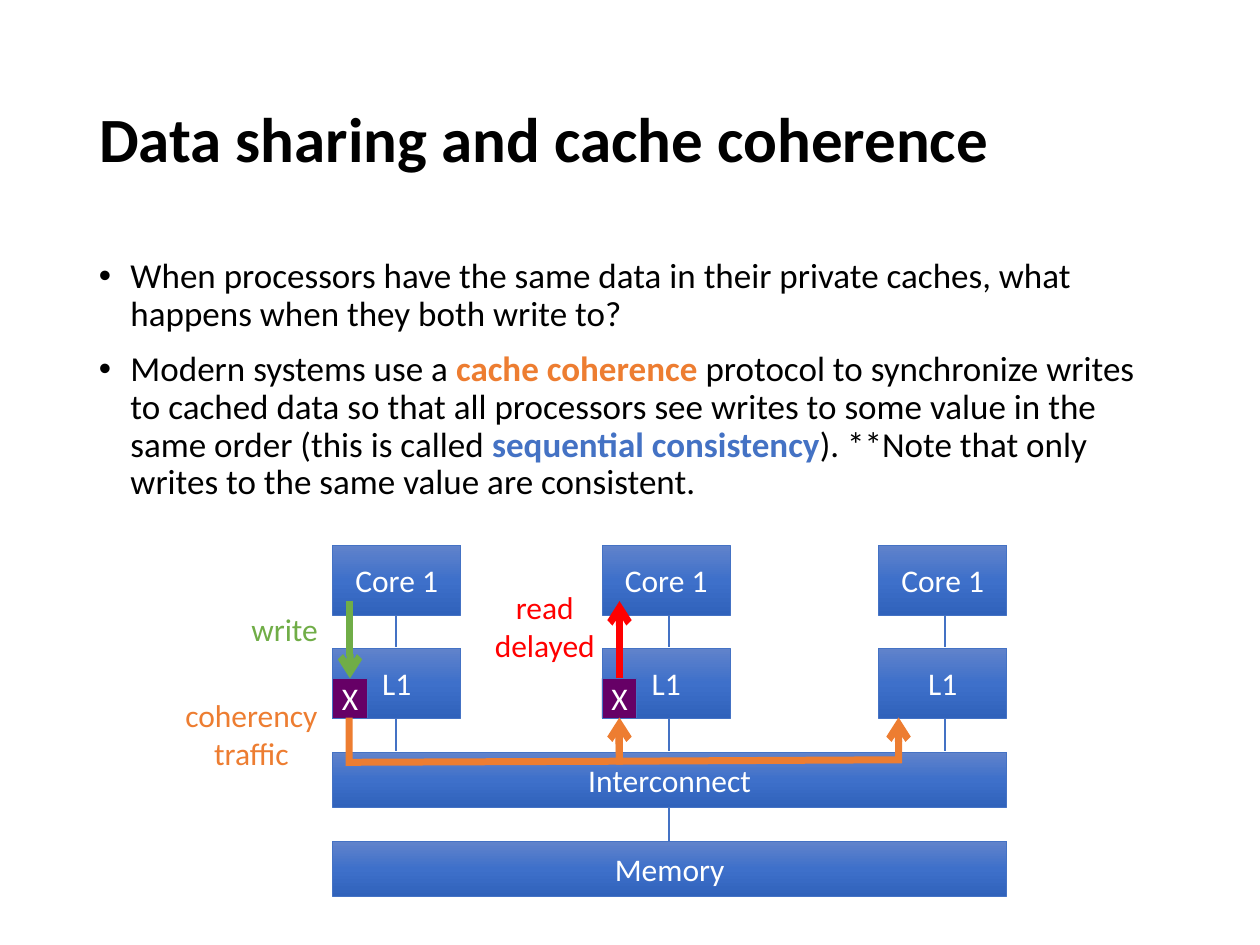
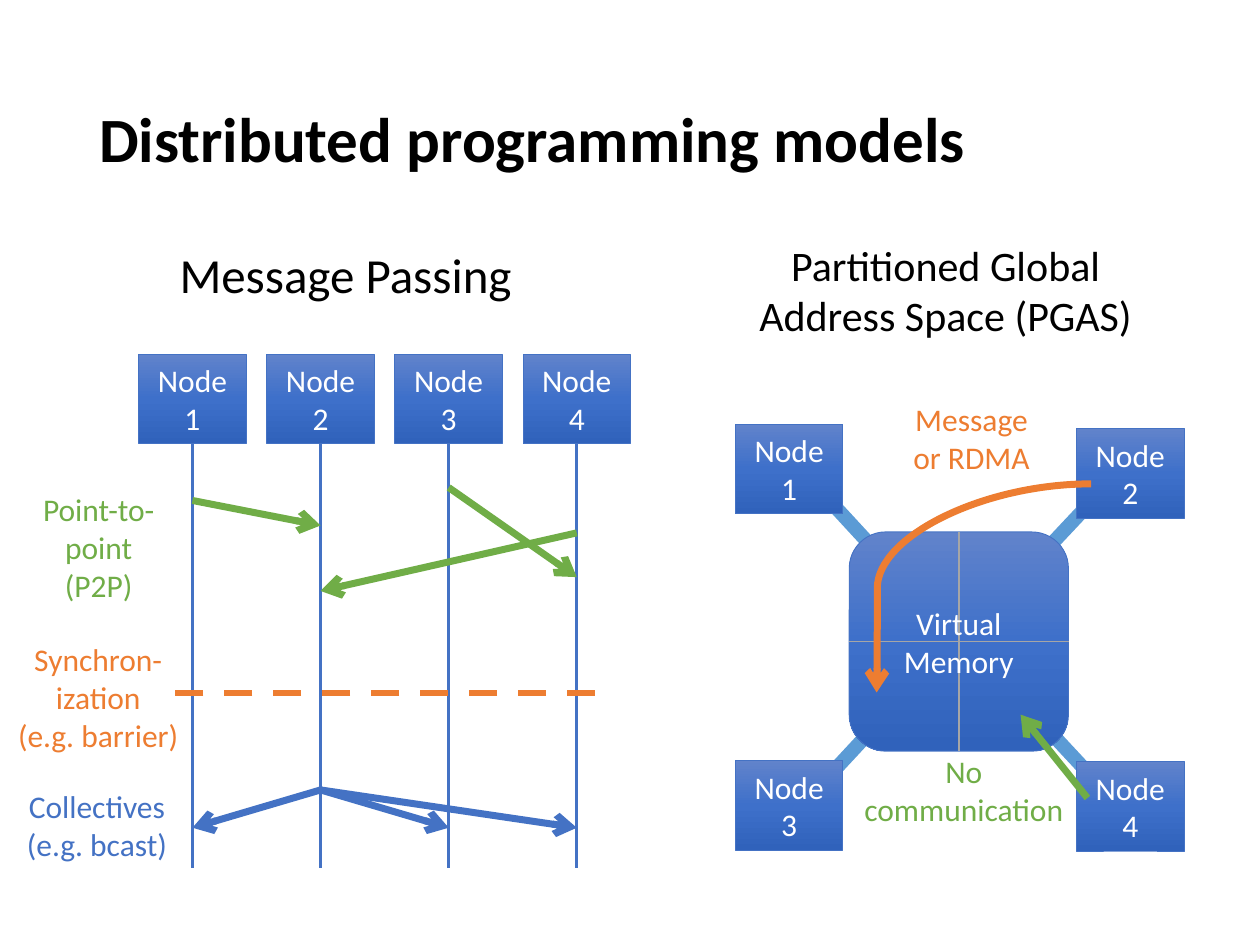
from copy import deepcopy

from lxml import etree
from pptx import Presentation
from pptx.dml.color import RGBColor
from pptx.enum.dml import MSO_LINE
from pptx.enum.shapes import MSO_CONNECTOR, MSO_SHAPE
from pptx.enum.text import MSO_ANCHOR, MSO_AUTO_SIZE, PP_ALIGN
from pptx.oxml.ns import qn
from pptx.util import Pt

# Shared look
FONT = "Calibri"
BLACK = RGBColor(0x00, 0x00, 0x00)
WHITE = RGBColor(0xFF, 0xFF, 0xFF)
BLUE = RGBColor(0x44, 0x72, 0xC4)
SKY = RGBColor(0x5B, 0x9B, 0xD5)
ORANGE = RGBColor(0xED, 0x7D, 0x31)
GREEN = RGBColor(0x70, 0xAD, 0x47)
RED = RGBColor(0xFF, 0x00, 0x00)
PURPLE = RGBColor(0x66, 0x00, 0x66)
GREY = RGBColor(0xA6, 0xA6, 0xA6)
BOX_STOPS = [(0, RGBColor(0x61, 0x83, 0xCB)), (0.5, RGBColor(0x3E, 0x70, 0xCA)),
             (1, RGBColor(0x30, 0x62, 0xBB))]
LEFT, CENTER = PP_ALIGN.LEFT, PP_ALIGN.CENTER
TOP, MIDDLE = MSO_ANCHOR.TOP, MSO_ANCHOR.MIDDLE
RECT, ROUNDED = MSO_SHAPE.RECTANGLE, MSO_SHAPE.ROUNDED_RECTANGLE
STRAIGHT, CURVE = MSO_CONNECTOR.STRAIGHT, MSO_CONNECTOR.CURVE
DASH = MSO_LINE.DASH
NO_FIT = MSO_AUTO_SIZE.NONE

TITLE_AT = (49.5, 29, 621, 104.4)
ARROW_WIDTH = 4

# Slide 1 content: a paragraph is a string or a list of (text, colour, bold)
COHERENCE_TITLE = "Data sharing and cache coherence"
COHERENCE_BULLETS = [
    "When processors have the same data in their private caches, "
    "what happens when they both write to?",
    [("Modern systems use a ", BLACK, False),
     ("cache coherence", ORANGE, True),
     (" protocol to synchronize writes to cached data so that all processors "
      "see writes to some value in the same order (this is called ", BLACK, False),
     ("sequential consistency", BLUE, True),
     ("). **Note that only writes to the same value are consistent.", BLACK, False)],
]
BULLETS_AT = (49.5, 144, 621, 165)
CORES = [(190, 226.5), (344, 382.5), (502, 540)]  # box left, wire x
CORE_ROWS = [("Core 1", 311.5), ("L1", 370.3)]
CORE_SIZE = (73.4, 40.2)
BARS = [("Interconnect", 429.8), ("Memory", 480.8)]
BAR_SIZE = (385.4, 31.5)
WIRE_X = 382.5
X_SIZE = (20, 22.8)
WRITE_X, READ_X, THIRD_X = 200, 354, 513.5
L1_BOTTOM = 410
COHERENCY_TRAFFIC = [
    [(WRITE_X - 0.5, L1_BOTTOM), (WRITE_X - 0.5, 435.6), (READ_X, 435), (READ_X, L1_BOTTOM)],
    [(READ_X - 0.5, 416), (READ_X, 435), (THIRD_X, 434.2), (THIRD_X, L1_BOTTOM)],
]
COHERENCE_LABELS = [
    (["write"], (136, 345, 53.3, 29), GREEN),
    (["coherency", "traffic"], (98, 394.3, 91.4, 51), ORANGE),
    (["read", "delayed"], (275, 332.6, 72.7, 51), RED),
]

# Slide 2 content
MODELS_TITLE = "Distributed programming models"
MODEL_HEADINGS = [
    (["Message Passing"], (93.7, 136.3, 207.4, 41), 28),
    (["Partitioned Global", "Address Space (PGAS)"], (425.5, 133.3, 229.7, 65.5), 24),
]
NODES = ["Node 1", "Node 2", "Node 3", "Node 4"]
NODE_SIZE = (61.4, 51.1)
LANE_START, LANE_GAP = 110, 73.2
LANE_NODE_TOP, LANE_END = 202.4, 496
MESSAGES = [  # from lane, y, to lane, y, colour
    (0, 286, 1, 300.3, GREEN), (3, 304.5, 1, 337.7, GREEN), (2, 278.6, 3, 329.8, GREEN),
    (1, 451.4, 0, 473, BLUE), (1, 451.4, 2, 473, BLUE), (1, 451.4, 3, 473, BLUE),
]
BARRIER = (340, 396, 100, 396)
MODEL_LABELS = [
    (["Point-to-point (P2P)"], (15, 276.5, 82.8, 72.7), GREEN),
    (["Synchron-ization", "(e.g. barrier)"], (0, 362.2, 112.3, 72.7), ORANGE),
    (["Collectives", "(e.g. bcast)"], (3.6, 446.4, 103.7, 51), BLUE),
    (["No communication"], (483.8, 426.2, 133.9, 51), GREEN),
    (["Message", "or RDMA"], (499, 225.2, 112.3, 51), ORANGE),
]
PGAS_CORNERS = [(420.3, 242.4), (615.2, 245), (420.3, 434.7), (615.2, 435.2)]
PGAS_LINKS = [(473, 285, 501, 315.4), (623, 287.3, 594.7, 317.5),
              (473, 444.2, 501, 414), (623.5, 443.5, 595.4, 413.3)]
MEMORY_AT = (485.3, 304, 125.3, 125.3)
LOCAL_ACCESS = (621.4, 456, 583.2, 408.4)
REMOTE_ACCESS = (623.5, 276.5, 501, 395.7)


def put_text(s, paragraphs, size=18, color=BLACK, bold=False, align=CENTER, anchor=MIDDLE,
             wrap=True, inset=None, spacing=None, before=0, bullet=False):
    """Write paragraphs into a shape with one format."""
    tf = s.text_frame
    tf.auto_size, tf.word_wrap, tf.vertical_anchor = NO_FIT, wrap, anchor
    if inset is not None:
        tf.margin_left = tf.margin_right = tf.margin_top = tf.margin_bottom = Pt(inset)
    for i, runs in enumerate(paragraphs):
        p = tf.add_paragraph() if i else tf.paragraphs[0]
        p.alignment, p.line_spacing, p.space_before = align, spacing, Pt(before)
        if bullet:
            pPr = p._p.get_or_add_pPr()
            pPr.set("marL", str(Pt(18)))
            pPr.set("indent", str(-Pt(18)))
            etree.SubElement(pPr, qn("a:buFont"), typeface="Arial")
            etree.SubElement(pPr, qn("a:buChar"), char="•")
        for text, run_color, run_bold in [(runs, color, bold)] if isinstance(runs, str) else runs:
            r = p.add_run()
            r.text = text
            r.font.name, r.font.size = FONT, Pt(size)
            r.font.bold, r.font.color.rgb = run_bold, run_color


def add_label(slide, paragraphs, at, **fmt):
    s = slide.shapes.add_textbox(*map(Pt, at))
    put_text(s, paragraphs, **fmt)


def add_box(slide, at, text=None, kind=RECT, fill=BOX_STOPS, **fmt):
    """Add a box filled with gradient stops, with one colour, or (None) with nothing."""
    s = slide.shapes.add_shape(kind, *map(Pt, at))
    s.shadow.inherit = False
    if fill is None:
        s.fill.background()
        s.line.fill.background()
    else:
        s.line.color.rgb, s.line.width = BLUE, Pt(0.5)
        if fill is BOX_STOPS:
            s.fill.gradient()
            s.fill.gradient_angle = 270
            stops = s.element.spPr.find(".//" + qn("a:gsLst"))
            stops.insert(1, deepcopy(stops[0]))
            for stop, (position, color) in zip(s.fill.gradient_stops, fill):
                stop.position, stop.color.rgb = position, color
        else:
            s.fill.solid()
            s.fill.fore_color.rgb = fill
    if text:
        put_text(s, [text], color=WHITE, **fmt)


def style_line(s, color, width, arrow=False, dash=None):
    s.line.color.rgb, s.line.width = color, Pt(width)
    if dash:
        s.line.dash_style = dash
    ln = s.element.spPr.find(qn("a:ln"))
    etree.SubElement(ln, qn("a:miter"), lim="800000")
    if arrow:
        etree.SubElement(ln, qn("a:tailEnd"), type="arrow")


def add_line(slide, ends, color=BLUE, width=1, kind=STRAIGHT, bend=None, **style):
    s = slide.shapes.add_connector(kind, *map(Pt, ends))
    style_line(s, color, width, **style)
    spPr = s.element.spPr
    etree.SubElement(spPr, qn("a:effectLst"))
    if bend:
        geom = spPr.find(qn("a:prstGeom"))
        guides = geom.find(qn("a:avLst"))
        if guides is None:
            guides = etree.SubElement(geom, qn("a:avLst"))
        etree.SubElement(guides, qn("a:gd"), name="adj1", fmla=f"val {bend}")


def add_arrow(slide, ends, color, **style):
    add_line(slide, ends, color, ARROW_WIDTH, arrow=True, **style)


def add_bent_arrow(slide, points, color):
    (x, y), *rest = [(Pt(px), Pt(py)) for px, py in points]
    builder = slide.shapes.build_freeform(x, y)
    builder.add_line_segments(rest, close=False)
    s = builder.convert_to_shape()
    s.shadow.inherit = False
    s.fill.background()
    style_line(s, color, ARROW_WIDTH, arrow=True)


def new_slide(prs, title):
    slide = prs.slides.add_slide(prs.slide_layouts[5])
    s = slide.shapes.title
    s.left, s.top, s.width, s.height = map(Pt, TITLE_AT)
    put_text(s, [title], size=36, bold=True, align=LEFT, spacing=0.9)
    return slide


def coherence_slide(prs):
    slide = new_slide(prs, COHERENCE_TITLE)
    add_label(slide, COHERENCE_BULLETS, BULLETS_AT, size=20, align=LEFT, anchor=TOP,
              spacing=0.9, before=10, bullet=True)

    # Cores, caches, shared bars and the wires below each
    width, height = CORE_SIZE
    for left, wire_x in CORES:
        for (text, top), (_, below) in zip(CORE_ROWS, CORE_ROWS[1:] + BARS):
            add_box(slide, (left, top, width, height), text)
            add_line(slide, (wire_x, top + height, wire_x, below - 0.5))
    for text, top in BARS:
        add_box(slide, (CORES[0][0], top, *BAR_SIZE), text)
    add_line(slide, (WIRE_X, BARS[0][1] + BAR_SIZE[1], WIRE_X, BARS[1][1]))

    # Cached value and its traffic
    x_top = CORE_ROWS[1][1] + height - X_SIZE[1]
    for left, _ in CORES[:2]:
        add_box(slide, (left, x_top, *X_SIZE), "X", fill=PURPLE, inset=0)
    add_arrow(slide, (WRITE_X, 343.5, WRITE_X, x_top), GREEN)
    for points in COHERENCY_TRAFFIC:
        add_bent_arrow(slide, points, ORANGE)
    add_arrow(slide, (READ_X, x_top, READ_X, 343.5), RED)
    for paragraphs, at, color in COHERENCE_LABELS:
        add_label(slide, paragraphs, at, color=color, anchor=TOP, wrap=False)


def models_slide(prs):
    slide = new_slide(prs, MODELS_TITLE)
    for paragraphs, at, size in MODEL_HEADINGS:
        add_label(slide, paragraphs, at, size=size, anchor=TOP, wrap=False)

    # Message passing lanes
    width, height = NODE_SIZE
    lanes = [LANE_START + i * LANE_GAP for i in range(len(NODES))]
    for text, x in zip(NODES, lanes):
        add_box(slide, (x - width / 2, LANE_NODE_TOP, width, height), text)
        add_line(slide, (x, LANE_NODE_TOP + height, x, LANE_END), width=1.5)
    for start, y1, end, y2, color in MESSAGES:
        add_arrow(slide, (lanes[start], y1, lanes[end], y2), color)
    add_line(slide, BARRIER, ORANGE, ARROW_WIDTH, dash=DASH)

    # Partitioned memory shared by four nodes
    for ends in PGAS_LINKS:
        add_line(slide, ends, SKY, 8)
    for text, corner in zip(NODES, PGAS_CORNERS):
        add_box(slide, (*corner, width, height), text)
    left, top, side, _ = MEMORY_AT
    mid_x, mid_y = left + side / 2, top + side / 2
    add_box(slide, MEMORY_AT, kind=ROUNDED)
    add_line(slide, (mid_x, top, mid_x, top + side), GREY)
    add_line(slide, (left, mid_y, left + side, mid_y), GREY)
    add_box(slide, MEMORY_AT, "Virtual Memory", kind=ROUNDED, fill=None)
    add_arrow(slide, LOCAL_ACCESS, GREEN)
    add_arrow(slide, REMOTE_ACCESS, ORANGE, kind=CURVE, bend=99700)
    for paragraphs, at, color in MODEL_LABELS:
        add_label(slide, paragraphs, at, color=color, anchor=TOP)


def main():
    prs = Presentation()
    prs.slide_width, prs.slide_height = Pt(720), Pt(540)
    coherence_slide(prs)
    models_slide(prs)
    prs.save("out.pptx")


if __name__ == "__main__":
    main()
